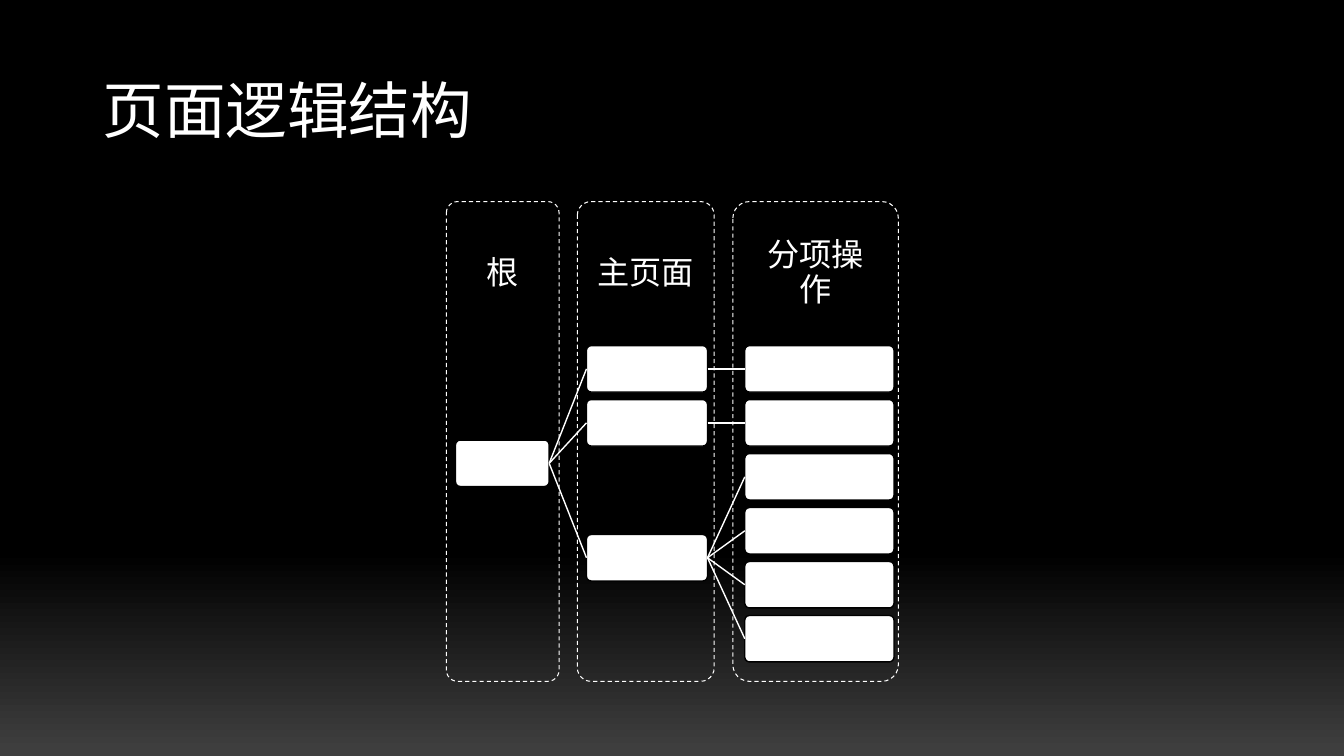
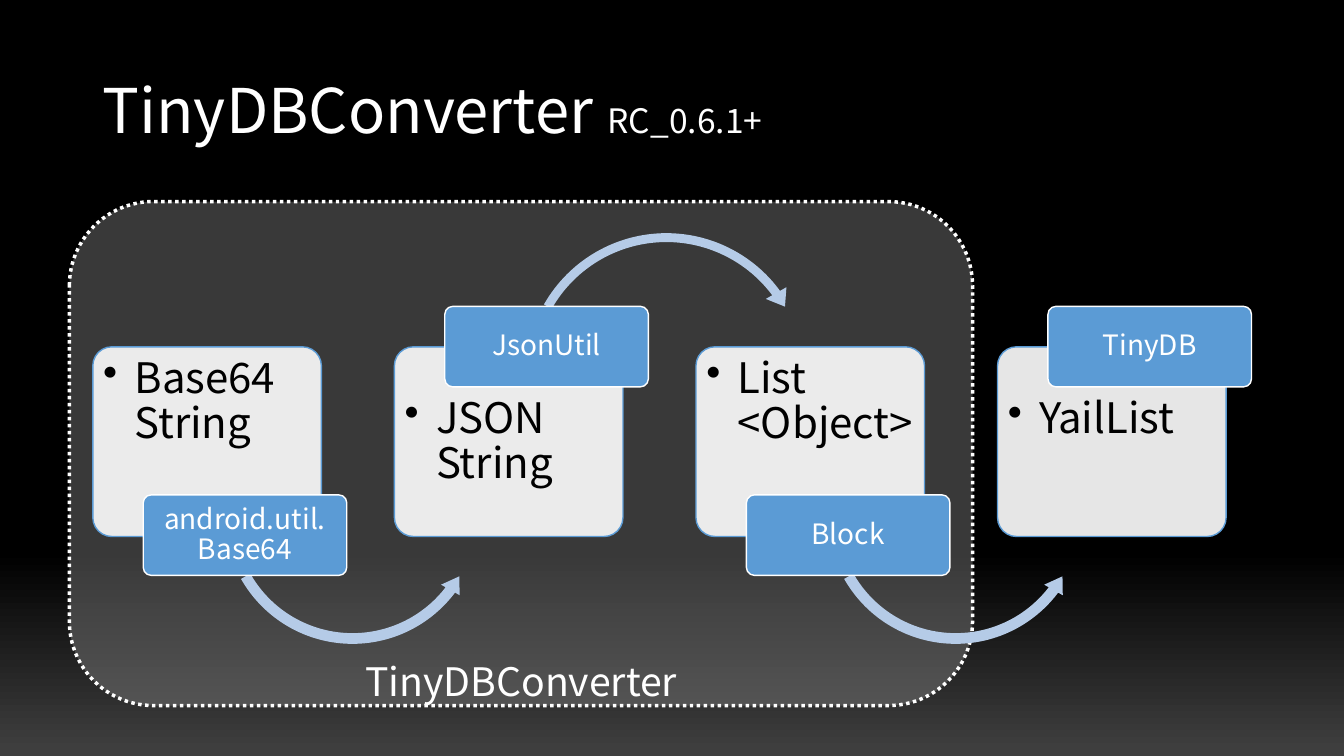
from lxml import etree
from copy import deepcopy
from pptx import Presentation
from pptx.dml.color import RGBColor
from pptx.enum import dml, shapes, text
from pptx.oxml.ns import qn
from pptx.util import Cm, Pt

COLORS = {"black": "000000", "white": "FFFFFF", "dark": "404040",
          "gray": "808080", "blue": "5B9BD5", "arrow": "B5CBE7"}
FONT_JP, FONT_SC = "Noto Sans CJK JP", "Noto Sans CJK SC"
SHAPE = shapes.MSO_SHAPE
ANCHOR = text.MSO_ANCHOR
ALIGN = text.PP_ALIGN


def rgb(name):
    return RGBColor.from_string(COLORS[name])


class Deck:
    """Holds the presentation, its style and the current slide."""

    def __init__(self):
        self.prs = Presentation()
        self.prs.slide_width, self.prs.slide_height = Cm(33.87), Cm(19.05)
        self.s = None
        self.set_background()

    def set_background(self):
        fill = self.prs.slide_master.background.fill
        fill.gradient()
        fill.gradient_angle = 270
        first = self.prs.slide_master.element.find(".//" + qn("a:gs"))
        first.addnext(deepcopy(first))
        stops = ((0, "black"), (0.73, "black"), (1, "dark"))
        for stop, (position, color) in zip(fill.gradient_stops, stops):
            stop.position = position
            stop.color.rgb = rgb(color)

    def new_slide(self, title, suffix=""):
        self.s = self.prs.slides.add_slide(self.prs.slide_layouts[5])
        sp = self.s.shapes.title
        sp.left, sp.top, sp.width, sp.height = Cm(2.33), Cm(1.01), Cm(29.21), Cm(3.68)
        self.set_text(sp, title, 44, align=ALIGN.LEFT)
        if suffix:
            r = sp.text_frame.paragraphs[0].add_run()
            r.text = suffix
            r.font.size = Pt(24)

    def set_text(self, sp, words, size, color="white", font=FONT_JP, align=ALIGN.CENTER,
                 anchor=ANCHOR.MIDDLE, insets=None, spacing=0.9, bullet=False):
        """Set one paragraph; insets are left, top, right, bottom in cm."""
        tf = sp.text_frame
        tf.word_wrap = True
        tf.auto_size = text.MSO_AUTO_SIZE.NONE
        tf.vertical_anchor = anchor
        if insets:
            (tf.margin_left, tf.margin_top,
             tf.margin_right, tf.margin_bottom) = map(Cm, insets)
        p = tf.paragraphs[0]
        p.add_run().text = words
        p.alignment, p.line_spacing = align, spacing
        p.font.size, p.font.name = Pt(size), font
        p.font.color.rgb = rgb(color)
        pPr = p._p.get_or_add_pPr()
        defaults = pPr.find(qn("a:defRPr"))
        etree.SubElement(defaults, qn("a:ea"), typeface=font)
        if bullet:
            indent = Cm(0.79)
            pPr.set("marL", str(int(indent)))
            pPr.set("indent", str(-int(indent)))
            char = etree.Element(qn("a:buChar"), char="•")
            defaults.addprevious(char)

    def shape(self, kind, x, y, w, h, fill=None, alpha=100, line=None,
              width=1, dash=None, adjust=()):
        sp = self.s.shapes.add_shape(kind, Cm(x), Cm(y), Cm(w), Cm(h))
        sp.shadow.inherit = False
        for i, value in enumerate(adjust):
            sp.adjustments[i] = value
        if fill:
            sp.fill.solid()
            sp.fill.fore_color.rgb = rgb(fill)
            if alpha < 100:
                clr = sp.element.spPr.find(qn("a:solidFill") + "/" + qn("a:srgbClr"))
                etree.SubElement(clr, qn("a:alpha"), val=str(alpha * 1000))
        else:
            sp.fill.background()
        if line:
            sp.line.color.rgb = rgb(line)
            sp.line.width = Pt(width)
            if dash:
                sp.line.dash_style = dash
        else:
            sp.line.fill.background()
        return sp

    def panel(self, x, y, w, h, **style):
        """Slightly rounded rectangle."""
        return self.shape(SHAPE.ROUNDED_RECTANGLE, x, y, w, h, adjust=(0.1,), **style)

    def caption(self, words, x, y, w, h, size):
        sp = self.s.shapes.add_textbox(Cm(x), Cm(y), Cm(w), Cm(h))
        self.set_text(sp, words, size, anchor=ANCHOR.TOP, spacing=1)

    def link(self, parent, child):
        c = self.s.shapes.add_connector(shapes.MSO_CONNECTOR.STRAIGHT, 0, 0, 0, 0)
        c.begin_connect(parent, 3)
        c.end_connect(child, 1)
        c.line.color.rgb = rgb("white")
        c.line.width = Pt(1)
        etree.SubElement(c.element.spPr, qn("a:effectLst"))


def page_structure(deck):
    deck.new_slide("页面逻辑结构")
    lanes = (("根", 11.25, 2.84), ("主页面", 14.55, 3.45), ("分项操作", 18.47, 4.17))
    for name, x, w in lanes:
        sp = deck.panel(x, 5.08, w, 12.09, line="white", width=0.75,
                        dash=dml.MSO_LINE.DASH)
        deck.set_text(sp, name, 23, insets=(0.38, 0, 0.38, 8.46))

    columns = ((11.48, 2.36), (14.78, 3.05), (18.77, 3.76))
    leaf_tops = iter([8.71 + 1.36 * i for i in range(6)])

    def draw(children, depth=0):
        """Draw a subtree, each parent centred on its children."""
        drawn = [draw(child, depth + 1) for child in children]
        y = (drawn[0][1] + drawn[-1][1]) / 2 if drawn else next(leaf_tops)
        x, w = columns[depth]
        node = deck.panel(x, y, w, 1.17, fill="white", line="black")
        for child, _ in drawn:
            deck.link(node, child)
        return node, y

    leaf = ()
    draw(((leaf,), (leaf,), (leaf,) * 4))


def converter(deck):
    deck.new_slide("TinyDBConverter ", "RC_0.6.1+")
    deck.shape(SHAPE.ROUNDED_RECTANGLE, 1.75, 5.08, 22.76, 12.7, fill="gray", alpha=45,
               line="white", width=2.5, dash=dml.MSO_LINE.ROUND_DOT)
    deck.caption("TinyDBConverter", 8.59, 16.43, 9.09, 1.45, 28)

    steps = (("Base64 String", "android.util. Base64"), ("JSON String", "JsonUtil"),
             ("List <Object>", "Block"), ("YailList", "TinyDB"))
    for i, (kind, tool) in enumerate(steps):
        x = 2.34 + 7.6 * i
        tool_on_top = i % 2 == 1
        card = deck.panel(x, 8.74, 5.76, 4.78, fill="white", alpha=90, line="blue")
        deck.set_text(card, kind, 30, "black", FONT_SC, ALIGN.LEFT, ANCHOR.TOP,
                      (0.12, 1.13 if tool_on_top else 0.12, 0.12, 0.12), bullet=True)
        if i < len(steps) - 1:
            if tool_on_top:
                deck.shape(SHAPE.CIRCULAR_ARROW, x + 3.12, 5.69, 7.47, 7.47, fill="arrow",
                           adjust=(0.03, 4.09, 194.16, 125.76, 0.04))
            else:
                deck.shape(SHAPE.LEFT_CIRCULAR_ARROW, x + 3.18, 9.63, 6.73, 6.73,
                           fill="arrow", adjust=(0.04, 4.57, 22.33, 90.25, 0.04))
        label = deck.panel(x + 1.27, 7.72 if tool_on_top else 12.47, 5.13, 2.03,
                           fill="blue", line="white")
        deck.set_text(label, tool, 20, font=FONT_SC, insets=(0.11, 0.08, 0.11, 0.08))


def main():
    deck = Deck()
    page_structure(deck)
    converter(deck)
    deck.prs.save("out.pptx")


if __name__ == "__main__":
    main()
